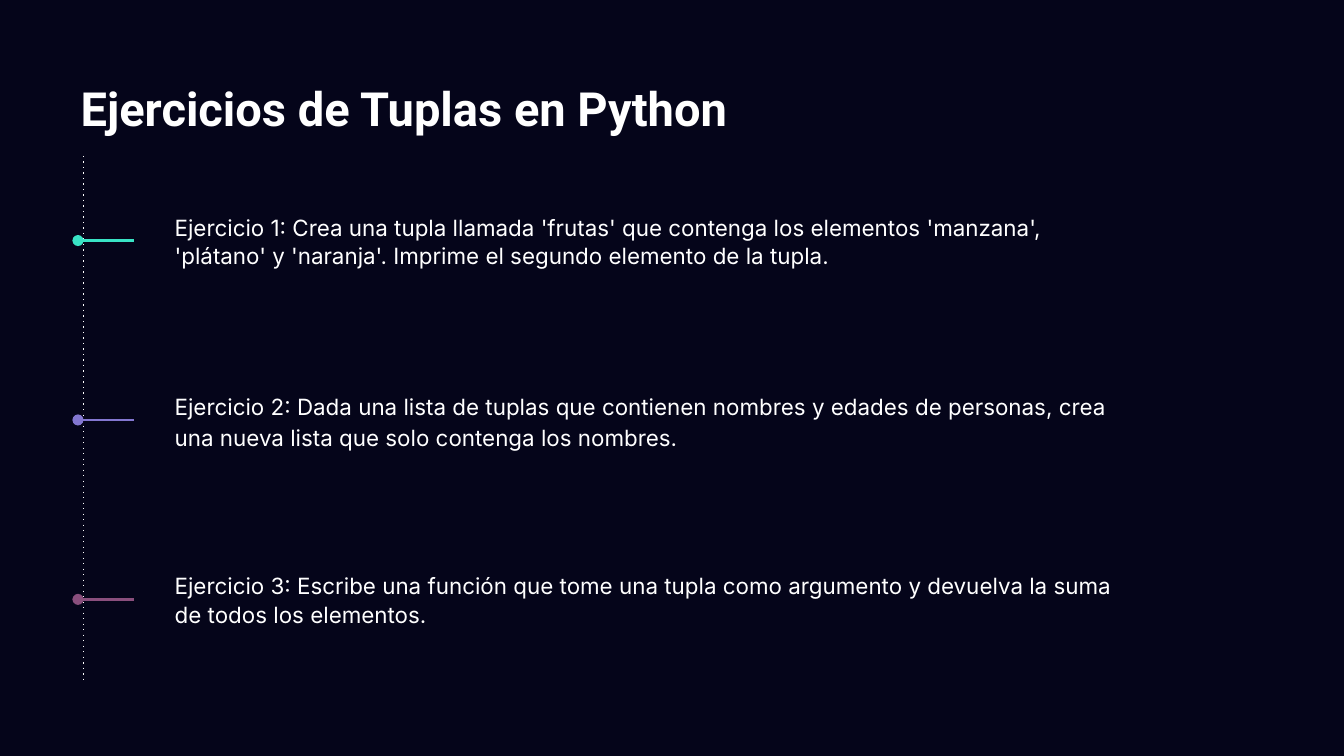
from dataclasses import dataclass

from lxml.etree import SubElement
from pptx import Presentation
from pptx.dml.color import RGBColor
from pptx.enum.shapes import MSO_CONNECTOR
from pptx.enum.text import MSO_ANCHOR, MSO_AUTO_SIZE, PP_ALIGN
from pptx.oxml.ns import qn
from pptx.util import Inches, Pt


@dataclass(frozen=True)
class Theme:
    background: str = "05051A"
    text: str = "FFFFFF"
    accents: tuple = ("39E3C5", "8377D1", "8A4F7D")
    title_font: str = "Roboto"
    body_font: str = "Inter"
    title_size: float = 25.2
    body_size: float = 12
    axis_width: float = 0.75
    marker_width: float = 1.5


THEME = Theme()

# Grid, in inches, on a 16:9 page
WIDTH = 10
HEIGHT = WIDTH * 9 / 16
MARKER_LEFT, AXIS_LEFT, TEXT_LEFT = 0.58, 0.62, 1
TEXT_WIDTH, ROW_HEIGHT = 7.5, 1.08
FIRST_ROW, LAST_ROW = 1.25, 3.92
ROW_PITCH = (LAST_ROW - FIRST_ROW) / 2
LEFT_SIDE = 1

# Text and line spacing of each exercise
EXERCISES = (
    ("Ejercicio 1: Crea una tupla llamada 'frutas' que contenga los elementos "
     "'manzana', 'plátano' y 'naranja'. Imprime el segundo elemento de la tupla.", 1.05),
    ("Ejercicio 2: Dada una lista de tuplas que contienen nombres y edades de "
     "personas, crea una nueva lista que solo contenga los nombres.", 1.15),
    ("Ejercicio 3: Escribe una función que tome una tupla como argumento y "
     "devuelva la suma de todos los elementos.", 1.05),
)


def write_text(box, text, font, size, bold=False, left_inset=0.1):
    """Put one left-aligned paragraph in the box and return it."""
    frame = box.text_frame
    frame.word_wrap = True
    frame.auto_size = MSO_AUTO_SIZE.NONE
    frame.vertical_anchor = MSO_ANCHOR.MIDDLE
    frame.margin_left = Inches(left_inset)
    frame.margin_top = frame.margin_right = frame.margin_bottom = Inches(0.1)
    para = frame.paragraphs[0]
    para.alignment = PP_ALIGN.LEFT
    span = para.add_run()
    span.text = text
    span.font.name = font
    span.font.size = Pt(size)
    span.font.bold = bold
    span.font.color.rgb = RGBColor.from_string(THEME.text)
    return para


def add_title(page, text):
    title = page.shapes.title
    title.left, title.top = Inches(0.5), Inches(0.49)
    title.width, title.height = Inches(9), Inches(0.63)
    write_text(title, text, THEME.title_font, THEME.title_size, bold=True)


def add_exercise(page, row, text, spacing):
    top = FIRST_ROW + row * ROW_PITCH
    box = page.shapes.add_textbox(
        Inches(TEXT_LEFT), Inches(top), Inches(TEXT_WIDTH), Inches(ROW_HEIGHT))
    para = write_text(box, text, THEME.body_font, THEME.body_size, left_inset=0.3)
    para.line_spacing = spacing
    para.space_after = Pt(10)
    return box


def add_line(page, start, end, color, width, detail, kind):
    """Draw a line; detail is its extra line element, with the value given by kind."""
    line = page.shapes.add_connector(
        MSO_CONNECTOR.STRAIGHT, *(Inches(value) for value in (*start, *end)))
    line.line.color.rgb = RGBColor.from_string(color)
    line.line.width = Pt(width)
    properties = line._element.spPr
    SubElement(properties.find(qn("a:ln")), qn(detail), kind)
    SubElement(properties, qn("a:effectLst"))
    return line


def add_axis(page):
    add_line(page, (AXIS_LEFT, 1.16), (AXIS_LEFT, 5.08), THEME.text,
             THEME.axis_width, "a:prstDash", {"val": "dot"})


def add_marker(page, row, box, color):
    middle = FIRST_ROW + row * ROW_PITCH + ROW_HEIGHT / 2
    marker = add_line(page, (MARKER_LEFT, middle), (TEXT_LEFT, middle), color,
                      THEME.marker_width, "a:headEnd", {"type": "oval"})
    marker.end_connect(box, LEFT_SIDE)


def main():
    deck = Presentation()
    deck.slide_width, deck.slide_height = Inches(WIDTH), Inches(HEIGHT)
    page = deck.slides.add_slide(deck.slide_layouts[5])
    fill = page.background.fill
    fill.solid()
    fill.fore_color.rgb = RGBColor.from_string(THEME.background)

    # Heading and dotted timeline
    add_title(page, "Ejercicios de Tuplas en Python")
    add_axis(page)

    # One text box and one marker per exercise
    for row, ((text, spacing), color) in enumerate(zip(EXERCISES, THEME.accents)):
        box = add_exercise(page, row, text, spacing)
        add_marker(page, row, box, color)

    deck.save("out.pptx")


if __name__ == "__main__":
    main()
